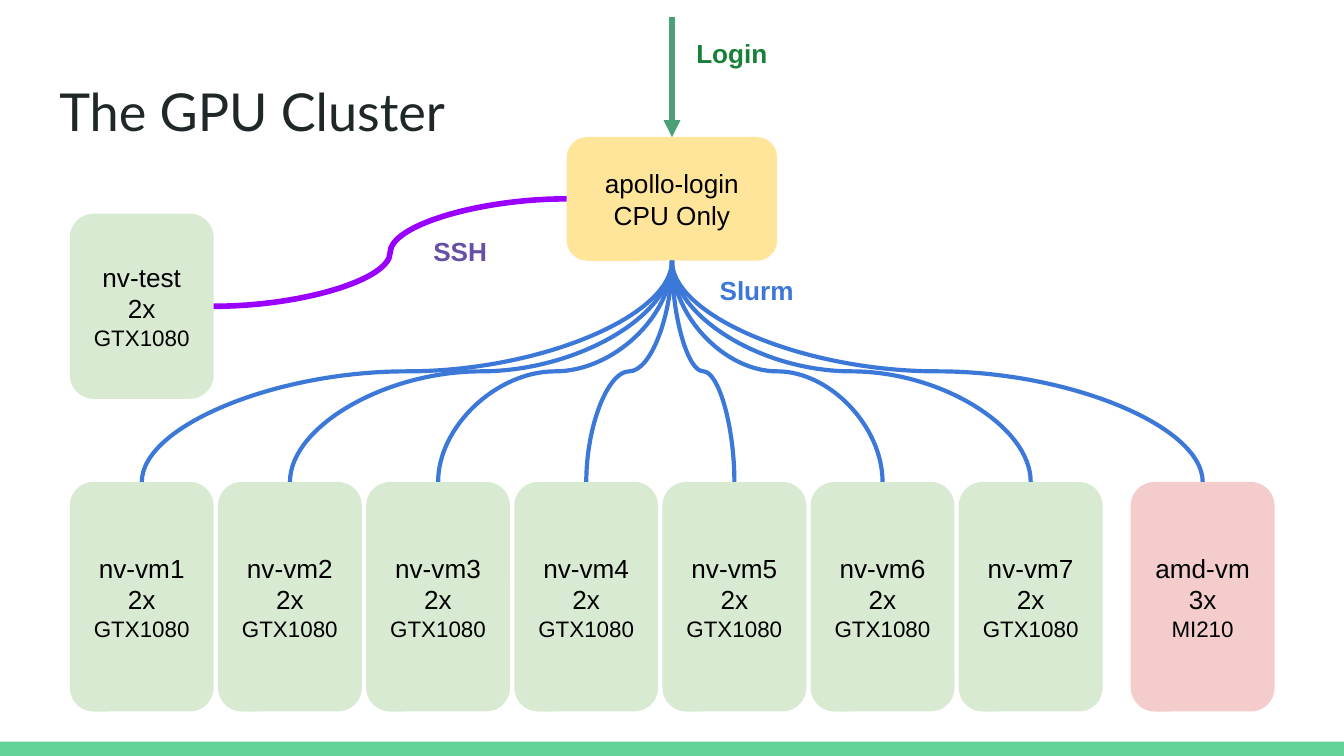
from typing import NamedTuple

from lxml.etree import SubElement
from pptx import Presentation
from pptx.dml.color import RGBColor
from pptx.enum.shapes import MSO_CONNECTOR, MSO_SHAPE
from pptx.enum.text import MSO_ANCHOR, MSO_AUTO_SIZE, PP_ALIGN
from pptx.oxml.ns import qn
from pptx.util import Cm, Pt

COLORS = {
    "title": "202729", "text": "000000", "footer": "63D297",
    "login_node": "FFE599", "nvidia_node": "D9EAD3", "amd_node": "F4CCCC",
    "ssh_line": "9900FF", "ssh_text": "674EA7", "slurm": "3C78D8",
    "login_line": "4BA173", "login_text": "188038",
}
FRAME_FORMAT = {
    "word_wrap": True, "auto_size": MSO_AUTO_SIZE.NONE,
    "margin_left": Cm(0.25), "margin_right": Cm(0.25),
    "margin_top": Cm(0.25), "margin_bottom": Cm(0.25),
}
NODE_WIDTH, NODE_PITCH, NODE_LEFT = 2.72, 2.8, 1.32
VM_TOP, VM_HEIGHT = 9.11, 4.34


class Node(NamedTuple):
    name: str
    detail: str
    gpu: str
    color: str
    left: float
    top: float = VM_TOP
    width: float = NODE_WIDTH
    height: float = VM_HEIGHT

    @property
    def center_x(self) -> float:
        return self.left + self.width / 2

    @property
    def center_y(self) -> float:
        return self.top + self.height / 2


class Label(NamedTuple):
    text: str
    color: str
    left: float
    top: float


LOGIN = Node("apollo-login", "CPU Only", "", "login_node", 10.71, 2.59, 3.98, 2.34)
TEST = Node("nv-test", "2x", "GTX1080", "nvidia_node", NODE_LEFT, 4.04, height=3.5)
WORKERS = [
    Node(f"nv-vm{i + 1}", "2x", "GTX1080", "nvidia_node", NODE_LEFT + i * NODE_PITCH)
    for i in range(7)
] + [Node("amd-vm", "3x", "MI210", "amd_node", 21.37)]
LABELS = [
    Label("SSH", "ssh_text", 7.94, 4.2),
    Label("Slurm", "slurm", 13.35, 4.93),
    Label("Login", "login_text", 12.91, 0.45),
]


def rgb(color: str) -> RGBColor:
    return RGBColor.from_string(COLORS[color])


def apply_format(target, values: dict) -> None:
    for attribute, value in values.items():
        setattr(target, attribute, value)


def format_font(font, size: float, color: str, name: str = "Arial", bold: bool = False) -> None:
    apply_format(font, {"name": name, "size": Pt(size), "bold": bold})
    font.color.rgb = rgb(color)


def add_block(slide, kind, color: str, left: float, top: float, width: float, height: float):
    block = slide.shapes.add_shape(kind, Cm(left), Cm(top), Cm(width), Cm(height))
    block.shadow.inherit = False
    block.fill.solid()
    block.fill.fore_color.rgb = rgb(color)
    block.line.fill.background()
    return block


def add_node(slide, node: Node) -> None:
    box = add_block(slide, MSO_SHAPE.ROUNDED_RECTANGLE, node.color,
                    node.left, node.top, node.width, node.height)
    frame = box.text_frame
    apply_format(frame, FRAME_FORMAT | {"vertical_anchor": MSO_ANCHOR.MIDDLE})
    name_line, detail_line = frame.paragraphs[0], frame.add_paragraph()
    for line, text in ((name_line, node.name), (detail_line, node.detail)):
        line.alignment = PP_ALIGN.CENTER
        run = line.add_run()
        run.text = text
        format_font(run.font, 14, "text")
    if node.gpu:
        detail_line.add_line_break()
        gpu = detail_line.add_run()
        gpu.text = node.gpu
        format_font(gpu.font, 12, "text")


def add_label(slide, label: Label) -> None:
    box = slide.shapes.add_textbox(Cm(label.left), Cm(label.top), Cm(1.95), Cm(1.16))
    apply_format(box.text_frame, FRAME_FORMAT)
    run = box.text_frame.paragraphs[0].add_run()
    run.text = label.text
    format_font(run.font, 14, label.color, bold=True)


def add_link(slide, kind, color: str, weight: float,
             x1: float, y1: float, x2: float, y2: float):
    link = slide.shapes.add_connector(kind, Cm(x1), Cm(y1), Cm(x2), Cm(y2))
    link.line.color.rgb = rgb(color)
    link.line.width = Pt(weight)
    SubElement(link._element.spPr, qn("a:effectLst"))
    return link


def add_slurm_link(slide, worker: Node) -> None:
    """Curve that leaves the login node downwards: a horizontal one, turned a quarter."""
    start_y = LOGIN.top + LOGIN.height
    drop = worker.top - start_y
    spread = abs(worker.center_x - LOGIN.center_x)
    left = (LOGIN.center_x + worker.center_x - drop) / 2
    top = (start_y + worker.top - spread) / 2
    start_x, end_x, angle = left, left + drop, 90
    if worker.center_x > LOGIN.center_x:
        start_x, end_x, angle = end_x, start_x, 270
    link = add_link(slide, MSO_CONNECTOR.CURVE, "slurm", 2.25,
                    start_x, top, end_x, top + spread)
    link._element.spPr.find(qn("a:xfrm")).set("rot", str(angle * 60000))


def add_title(slide, text: str) -> None:
    title = slide.shapes.title
    apply_format(title, {"left": Cm(0.87), "top": Cm(1.24),
                         "width": Cm(23.67), "height": Cm(1.6)})
    frame = title.text_frame
    apply_format(frame, FRAME_FORMAT | {"vertical_anchor": MSO_ANCHOR.TOP})
    frame.text = text
    frame.paragraphs[0].alignment = PP_ALIGN.LEFT
    format_font(frame.paragraphs[0].runs[0].font, 28, "title", "Lato")


def main() -> None:
    deck = Presentation()
    apply_format(deck, {"slide_width": Cm(25.4), "slide_height": Cm(14.29)})
    slide = deck.slides.add_slide(deck.slide_layouts[5])
    add_block(slide, MSO_SHAPE.RECTANGLE, "footer", 0, 14.02, 25.4, 0.27)
    add_title(slide, "The GPU Cluster")

    for node in [LOGIN, TEST, *WORKERS]:
        add_node(slide, node)
    add_link(slide, MSO_CONNECTOR.CURVE, "ssh_line", 3, LOGIN.left, LOGIN.center_y,
             TEST.left + TEST.width, TEST.center_y)
    for worker in WORKERS:
        add_slurm_link(slide, worker)
    arrow = add_link(slide, MSO_CONNECTOR.STRAIGHT, "login_line", 3,
                     LOGIN.center_x, 0.33, LOGIN.center_x, LOGIN.top)
    SubElement(arrow.line._get_or_add_ln(), qn("a:tailEnd"), type="triangle")
    for label in LABELS:
        add_label(slide, label)
    deck.save("out.pptx")


if __name__ == "__main__":
    main()
